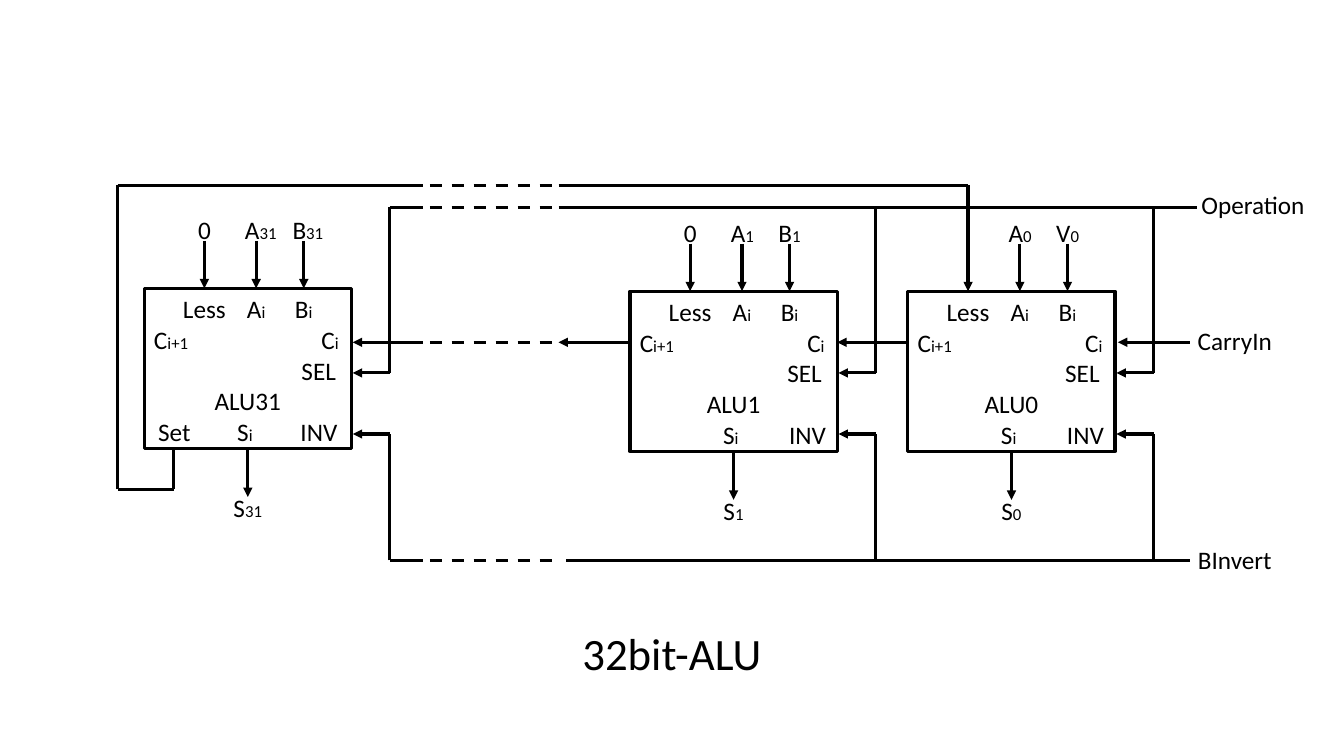
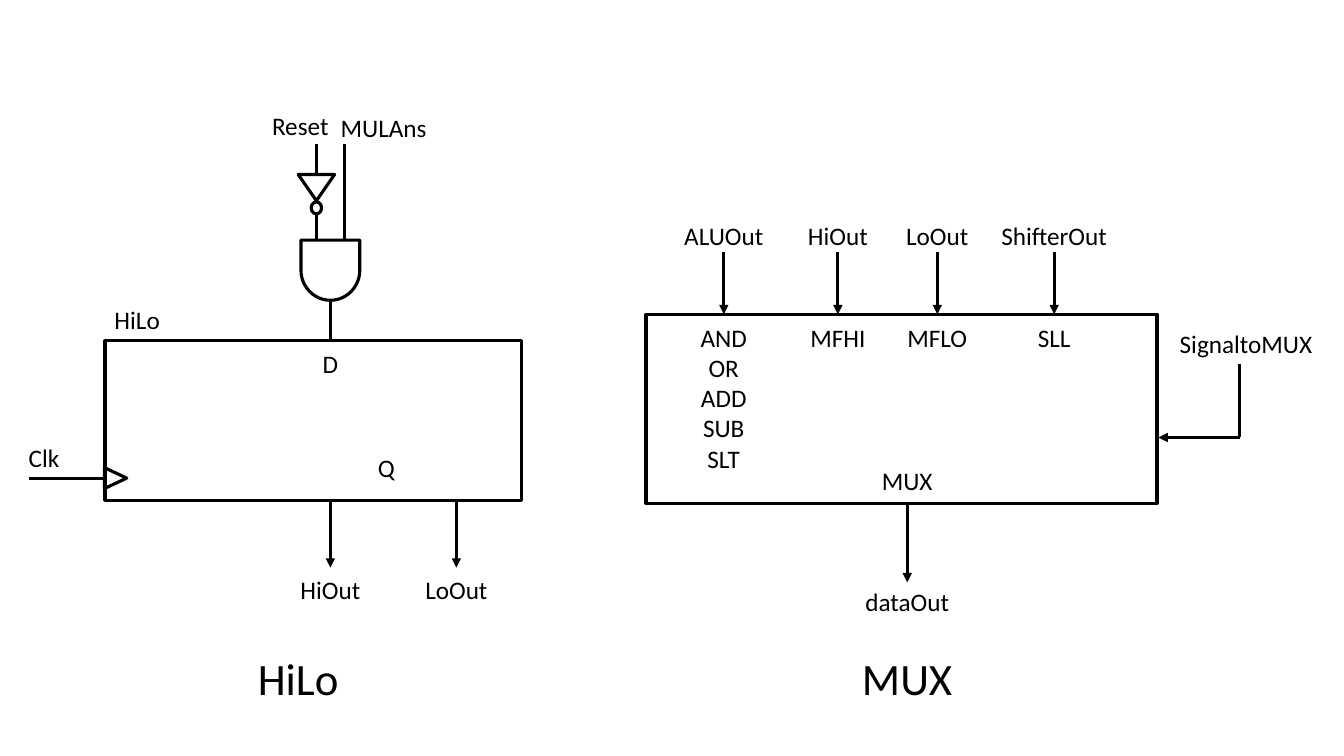
from dataclasses import dataclass
from itertools import pairwise

import pptx
import pptx.dml.color
import pptx.enum.dml
import pptx.enum.shapes
import pptx.enum.text
import pptx.oxml
import pptx.oxml.ns
import pptx.util

Pt = pptx.util.Pt
Kind = pptx.enum.shapes.MSO_SHAPE
Align = pptx.enum.text.PP_ALIGN


@dataclass(frozen=True)
class Theme:
    ink: pptx.dml.color.RGBColor = pptx.dml.color.RGBColor(0, 0, 0)
    paper: pptx.dml.color.RGBColor = pptx.dml.color.RGBColor(255, 255, 255)
    font: str = "Calibri"
    body: float = 18
    index: float = 12
    caption: float = 32
    stroke: float = 2.25
    leading: float = 1.22
    inset: float = 3.6


@dataclass(frozen=True)
class Box:
    left: float
    top: float
    width: float
    height: float

    @property
    def right(self):
        return self.left + self.width

    @property
    def bottom(self):
        return self.top + self.height

    def at(self, x, y):
        return self.left + x, self.top + y

    def centred(self, x, y, width, height):
        """A box whose centre lies x, y from this box's corner."""
        left, top = self.at(x - width / 2, y - height / 2)
        return Box(left, top, width, height)


THEME = Theme()


# Shared drawing parts

def draw_part(page, kind, box, filled=True, rotation=0):
    part = page.shapes.add_shape(
        kind, Pt(box.left), Pt(box.top), Pt(box.width), Pt(box.height))
    part.shadow.inherit = False
    part.rotation = rotation
    if filled:
        part.fill.solid()
        part.fill.fore_color.rgb = THEME.paper
    else:
        part.fill.background()
    part.line.color.rgb = THEME.ink
    part.line.width = Pt(THEME.stroke)
    return part


def draw_wire(page, *points, arrow=False, dashed=False):
    """Join the points in turn; an arrowhead goes on the last segment."""
    for start, end in pairwise(points):
        segment = page.shapes.add_connector(
            pptx.enum.shapes.MSO_CONNECTOR.STRAIGHT,
            *(Pt(length) for length in (*start, *end)))
        segment.line.color.rgb = THEME.ink
        segment.line.width = Pt(THEME.stroke)
        if dashed:
            segment.line.dash_style = pptx.enum.dml.MSO_LINE.DASH
        if arrow and end == points[-1]:
            head = pptx.oxml.parse_xml(
                f'<a:tailEnd {pptx.oxml.ns.nsdecls("a")} type="triangle"/>')
            segment.line._get_or_add_ln().append(head)
        segment._element.spPr.append(pptx.oxml.parse_xml(
            f'<a:effectLst {pptx.oxml.ns.nsdecls("a")}/>'))
    return segment


def draw_label(page, text, anchor, align=Align.CENTER, size=THEME.body):
    """Text after an underscore is set in the small index size."""
    x, top = anchor
    lines = text.split("\n")
    width = 20 + 0.56 * size * max(map(len, lines))
    height = len(lines) * size * THEME.leading + 2 * THEME.inset
    shift = {Align.LEFT: 0, Align.CENTER: width / 2, Align.RIGHT: width}[align]
    box = page.shapes.add_textbox(Pt(x - shift), Pt(top), Pt(width), Pt(height))
    frame = box.text_frame
    frame.word_wrap = True
    frame.margin_left = frame.margin_right = 0
    frame.margin_top = frame.margin_bottom = Pt(THEME.inset)
    frame.text = text
    for para in frame.paragraphs:
        para.alignment = align
        main, _, index = para.text.partition("_")
        para.text = main
        if index:
            para.add_run().text = index
        for span, span_size in zip(para.runs, (size, THEME.index)):
            span.font.name = THEME.font
            span.font.size = Pt(span_size)
            span.font.color.rgb = THEME.ink


# Slide 1: 32-bit ALU

PINS = {"Less": 43, "A_i": 80, "B_i": 114}
ROW = 22


def draw_alu(page, box, number, inputs, has_set=False):
    body = draw_part(page, Kind.RECTANGLE, box)
    middle = box.width / 2

    # Names inside the block: text, x, row, alignment
    names = [(name, x, 0, Align.CENTER) for name, x in PINS.items()]
    names += [
        ("C_i+1", 7, 1, Align.LEFT),
        ("C_i", 139, 1, Align.RIGHT),
        ("SEL", 137, 2, Align.RIGHT),
        (f"ALU{number}", middle, 3, Align.CENTER),
        ("S_i", 72, 4, Align.CENTER),
        ("INV", 138 if has_set else 140, 4, Align.RIGHT),
    ]
    if has_set:
        names.append(("Set", 10, 4, Align.LEFT))
    for text, x, row, align in names:
        draw_label(page, text, box.at(x, row * ROW), align)

    # Inputs above
    for text, x in zip(inputs, PINS.values()):
        if text:
            draw_wire(page, box.at(x, -34), box.at(x, 0), arrow=True)
            if "_" in text:
                draw_label(page, text, box.at(x - 8, -56.5), Align.LEFT)
            else:
                draw_label(page, text, box.at(x, -56.5))

    # Output below
    output = draw_wire(page, box.at(middle, box.height),
                       box.at(middle, box.height + 34.5), arrow=True)
    output.begin_connect(body, 2)
    draw_label(page, f"S_{number}", box.at(middle, box.height + 27.5))


def draw_alu_wiring(page, last, second, first):
    break_left, dash_left, dash_right = 302, 307, 399
    set_y, operation_y, carry_y = 132.3, 148, 244.5
    select_y, invert_y, invert_bus_y = 266.4, 310, 400.3
    bus_end, tap_gap = 850, 27.5
    bus_start = last.right + tap_gap

    # Buses, each broken by a dashed stretch
    for y, left, resume, right in (
            (set_y, 84, dash_right, first.left + PINS["Less"]),
            (operation_y, bus_start, dash_right, 855),
            (invert_bus_y, bus_start, 404.5, bus_end)):
        draw_wire(page, (left, y), (break_left, y))
        draw_wire(page, (dash_left, y), (dash_right, y), dashed=True)
        draw_wire(page, (resume, y), (right, y))

    # Taps from the buses into SEL and INV
    for block in (last, second, first):
        tap = block.right + tap_gap
        for bus_y, port_y in ((operation_y, select_y), (invert_bus_y, invert_y)):
            draw_wire(page, (tap, bus_y), (tap, port_y),
                      (block.right + 1, port_y), arrow=True)

    # Carry chain
    for start, end in ((bus_end, first.right + 2), (first.left, second.right),
                       (second.left, dash_right), (break_left, last.right + 1)):
        draw_wire(page, (start, carry_y), (end, carry_y), arrow=True)
    draw_wire(page, (dash_left, carry_y), (dash_right, carry_y), dashed=True)

    # Set of the last block feeds Less of the first
    draw_wire(page, last.at(21, last.height), last.at(21, last.height + 29),
              (84, last.bottom + 29), (84, set_y))
    less_x = first.left + PINS["Less"]
    draw_wire(page, (less_x, set_y), (less_x, first.top), arrow=True)

    # Signal names
    for text, x, top in (("Operation", 895, 132), ("CarryIn", 882, 229),
                         ("BInvert", 882, 385)):
        draw_label(page, text, (x, top))


def draw_alu_slide(page):
    last, second, first = (
        Box(left, top, 148, 114.5)
        for left, top in ((103, 206), (450, 208), (648.5, 208)))
    draw_alu(page, last, 31, ("0", "A_31", "B_31"), has_set=True)
    draw_alu(page, second, 1, ("0", "A_1", "B_1"))
    draw_alu(page, first, 0, (None, "A_0", "V_0"))
    draw_alu_wiring(page, last, second, first)
    draw_label(page, "32bit-ALU", (480, 443.5), size=THEME.caption)


# Slide 2: HiLo register and output multiplexer

def draw_hilo(page, box):
    draw_part(page, Kind.RECTANGLE, box)
    data_x, reset_x, answer_x = 161, 151, 171
    wires_top, gate_top = -140.5, -72

    # Outputs
    for text, x in (("HiOut", data_x), ("LoOut", 251)):
        draw_wire(page, box.at(x, box.height),
                  box.at(x, box.height + 48), arrow=True)
        draw_label(page, text, box.at(x, box.height + 49))

    # Clock input
    draw_wire(page, box.at(-54, 98), box.at(0, 98))
    draw_part(page, Kind.ISOSCELES_TRIANGLE, box.centred(7.5, 98, 15, 16),
              filled=False, rotation=90)

    # Inverted reset and data meet in an AND gate
    draw_wire(page, box.at(answer_x, wires_top), box.at(answer_x, gate_top))
    draw_part(page, Kind.FLOWCHART_DELAY, box.centred(data_x, -50.5, 43, 42),
              rotation=90)
    draw_wire(page, box.at(data_x, -29), box.at(data_x, 0))
    draw_wire(page, box.at(reset_x, -91), box.at(reset_x, gate_top))
    draw_part(page, Kind.OVAL, box.centred(reset_x, -95, 7.4, 8.6))
    draw_part(page, Kind.ISOSCELES_TRIANGLE,
              box.centred(reset_x, -109.5, 26, 18.7), filled=False, rotation=180)
    draw_wire(page, box.at(reset_x, wires_top), box.at(reset_x, -119))

    # Names
    for text, x, y in (("Reset", 139.5, -168), ("MULAns", 199, -166.5),
                       ("HiLo", 23, -29.5), ("D", data_x, 1.5),
                       ("Q", 201, 76), ("Clk", -43.5, 69)):
        draw_label(page, text, box.at(x, y))
    draw_label(page, "HiLo", box.at(138, 218), size=THEME.caption)


def draw_mux(page, box):
    draw_part(page, Kind.RECTANGLE, box)

    # Inputs and the operations that select them
    for source, operations, x in (
            ("ALUOut", "AND\nOR\nADD\nSUB\nSLT", 55.5),
            ("HiOut", "MFHI", 137),
            ("LoOut", "MFLO", 208),
            ("ShifterOut", "SLL", 291.5)):
        draw_wire(page, box.at(x, -44.5), box.at(x, 0), arrow=True)
        draw_label(page, source, box.at(x, -71))
        draw_label(page, operations, box.at(x, 2))

    # Select signal
    draw_label(page, "SignaltoMUX", box.at(428.5, 6.5))
    draw_wire(page, box.at(424, 35.5), box.at(424, 88),
              box.at(box.width + 1, 88), arrow=True)

    # Output and names
    output_x = 186.5
    draw_wire(page, box.at(output_x, box.height),
              box.at(output_x, box.height + 56.5), arrow=True)
    draw_label(page, "dataOut", box.at(output_x, box.height + 56))
    draw_label(page, "MUX", box.at(output_x, 104))
    draw_label(page, "MUX", box.at(output_x, 237), size=THEME.caption)


def draw_register_slide(page):
    draw_hilo(page, Box(75, 243.5, 297.5, 114))
    draw_mux(page, Box(461.5, 224.5, 365, 135))


def main():
    deck = pptx.Presentation()
    deck.slide_width, deck.slide_height = Pt(960), Pt(540)
    blank = deck.slide_layouts[6]
    for draw_slide in (draw_alu_slide, draw_register_slide):
        draw_slide(deck.slides.add_slide(blank))
    deck.save("out.pptx")


if __name__ == "__main__":
    main()
